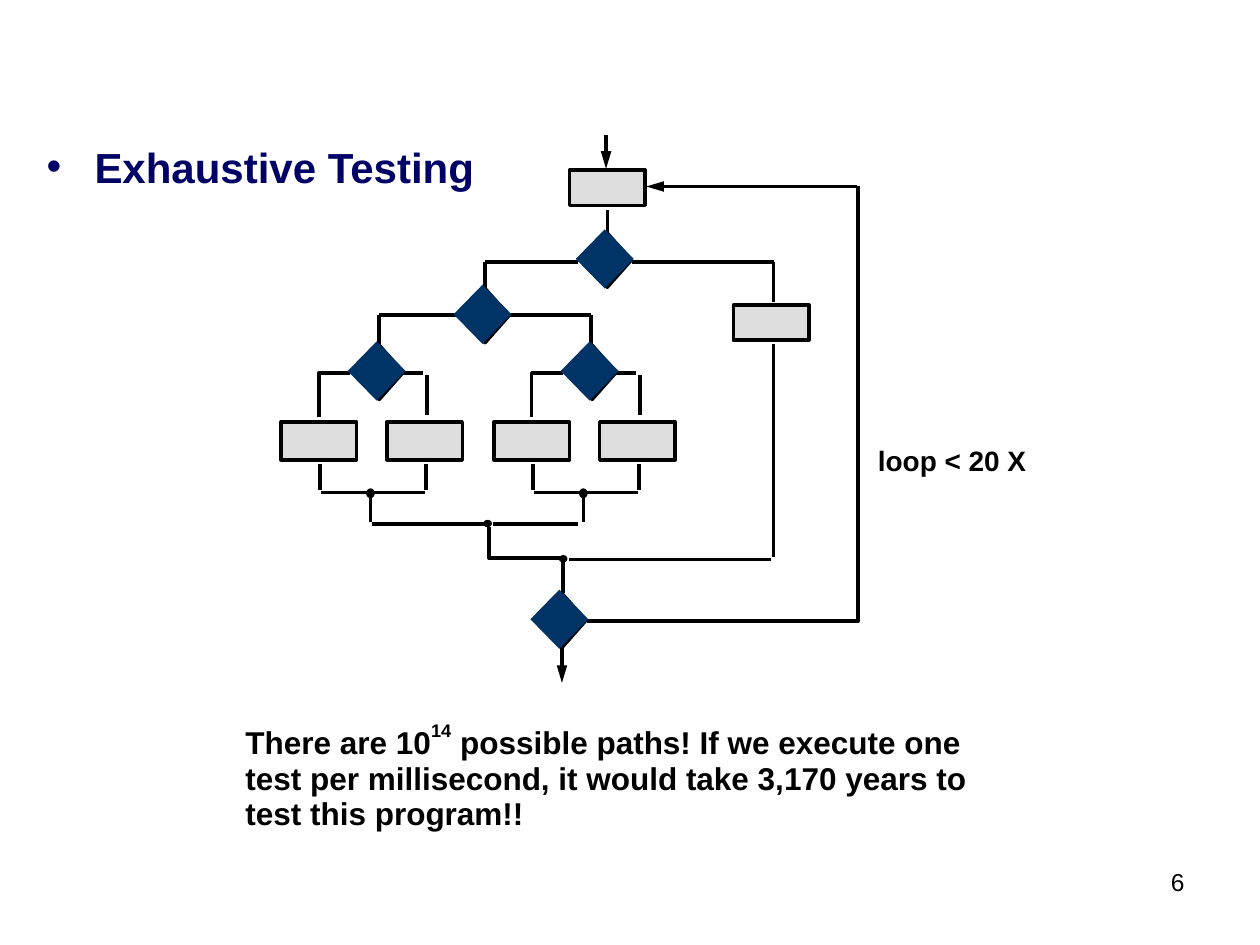
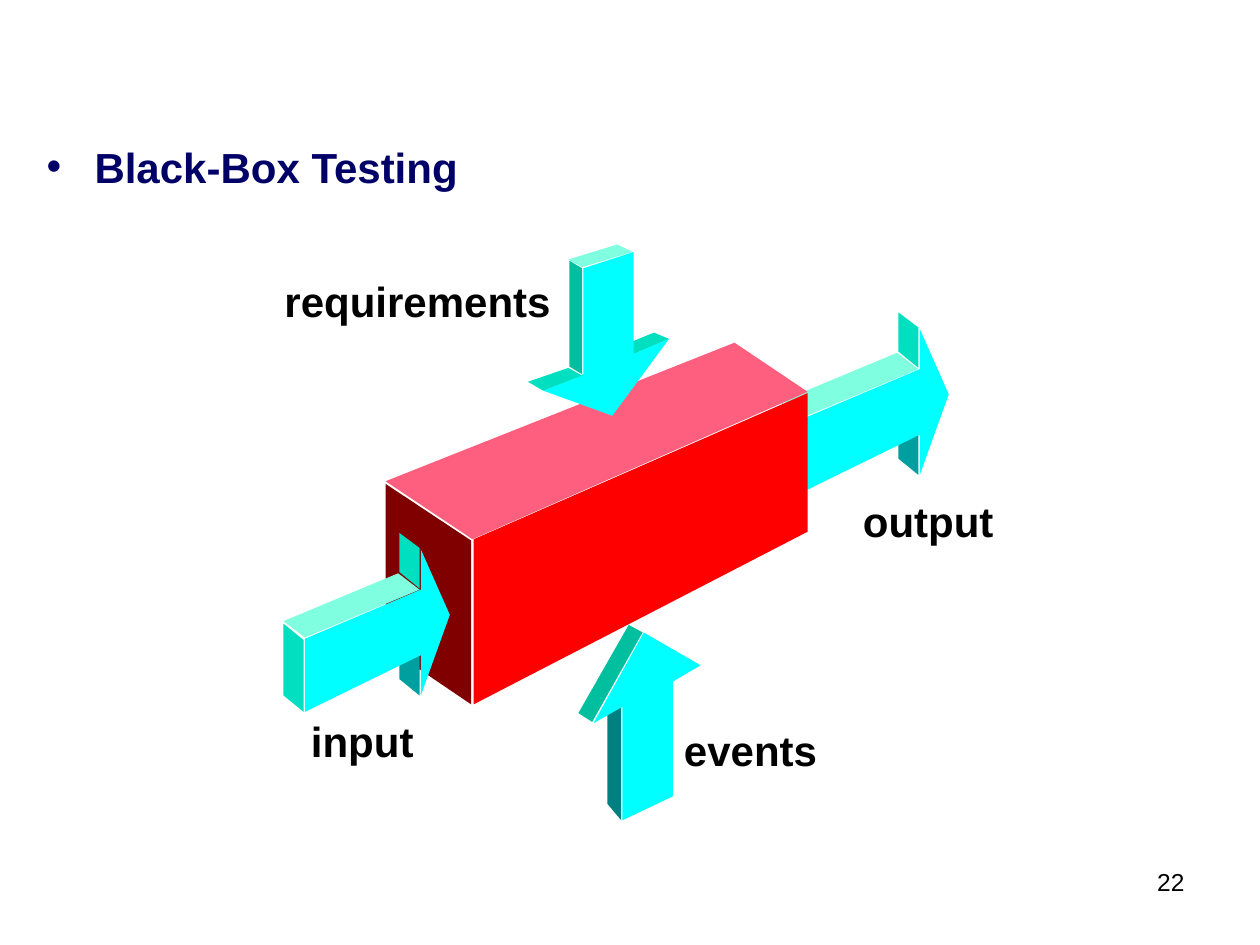
"""Build two slides on software testing: exhaustive paths and the black box."""
from dataclasses import dataclass

from lxml import etree
from pptx import Presentation
from pptx.dml.color import RGBColor
from pptx.enum.shapes import MSO_CONNECTOR, MSO_SHAPE
from pptx.enum.text import MSO_ANCHOR, MSO_AUTO_SIZE, PP_ALIGN
from pptx.oxml.ns import qn
from pptx.util import Inches, Pt

STRAIGHT = MSO_CONNECTOR.STRAIGHT
RECTANGLE, DIAMOND, OVAL = MSO_SHAPE.RECTANGLE, MSO_SHAPE.DIAMOND, MSO_SHAPE.OVAL
LEFT, RIGHT = PP_ALIGN.LEFT, PP_ALIGN.RIGHT
TOP = MSO_ANCHOR.TOP
NO_FIT = MSO_AUTO_SIZE.NONE


@dataclass(frozen=True)
class Theme:
    font: str = "Arial"
    ink: str = "000000"
    heading: str = "000066"
    step: str = "DDDDDD"
    decision: str = "003366"
    front: str = "00FFFF"
    light: str = "7FFFDF"
    side: str = "00DFBF"
    edge: str = "00BF9F"
    shade: str = "009F9F"
    deep: str = "008080"
    box_front: str = "FF0000"
    box_top: str = "FF5F7F"
    box_end: str = "800000"
    heading_size: int = 24
    statement_size: int = 18
    statement_pitch: float = 20.2
    note_size: int = 16
    number_size: int = 14
    stroke: int = 2


def write(paragraph, text, *, font, size, color, bold=False, align=LEFT, raised=0):
    run = paragraph.add_run()
    run.text = text
    run.font.name = font
    run.font.size = Pt(size)
    run.font.bold = bold
    run.font.color.rgb = RGBColor.from_string(color)
    paragraph.alignment = align
    if raised:
        run._r.get_or_add_rPr().set("baseline", str(raised * 1000))


class Deck:
    def __init__(self, theme):
        self.theme = theme
        self.show = Presentation()
        self.show.slide_width, self.show.slide_height = Inches(10), Inches(7.5)
        self.slide = None

    def start(self, heading, number):
        self.slide = self.show.slides.add_slide(self.show.slide_layouts[1])
        unused = self.slide.shapes.title._element
        unused.getparent().remove(unused)
        self.label(str(number), 7.44, 6.83, 2.06, 0.52,
                   size=self.theme.number_size, bold=False, align=RIGHT)
        self.bullet(heading)

    def bullet(self, heading):
        theme = self.theme
        body = self.slide.placeholders[1]
        body.left, body.top = Inches(0.27), Inches(1.07)
        body.width, body.height = Inches(9), Inches(0.95)
        frame = body.text_frame
        frame.auto_size, frame.vertical_anchor = NO_FIT, TOP
        paragraph = frame.paragraphs[0]
        write(paragraph, heading, font=theme.font, size=theme.heading_size,
              color=theme.heading, bold=True)
        paragraph.space_before = Pt(6)
        properties = paragraph._p.get_or_add_pPr()
        properties.set("marL", str(Inches(0.38)))
        properties.set("indent", str(Inches(-0.38)))
        tint = etree.SubElement(properties, qn("a:buClr"))
        etree.SubElement(tint, qn("a:srgbClr"), val=theme.heading)
        etree.SubElement(properties, qn("a:buFont"), typeface=theme.font)
        etree.SubElement(properties, qn("a:buChar"), char="•")

    def label(self, text, left, top, width, height, *, size, bold=True, align=LEFT):
        box = self.slide.shapes.add_textbox(
            Inches(left), Inches(top), Inches(width), Inches(height))
        frame = box.text_frame
        frame.word_wrap, frame.auto_size = True, NO_FIT
        paragraph = frame.paragraphs[0]
        write(paragraph, text, font=self.theme.font, size=size,
              color=self.theme.ink, bold=bold, align=align)
        return paragraph

    def paint(self, shape, fill=None, outlined=True):
        shape.shadow.inherit = False
        if fill:
            shape.fill.solid()
            shape.fill.fore_color.rgb = RGBColor.from_string(fill)
        else:
            shape.fill.background()
        if outlined:
            self.ink(shape.line)
        else:
            shape.line.fill.background()

    def ink(self, line):
        line.width = Pt(self.theme.stroke)
        line.color.rgb = RGBColor.from_string(self.theme.ink)

    def shape(self, preset, left, top, width, height, fill=None, outlined=True):
        self.paint(self.slide.shapes.add_shape(
            preset, Inches(left), Inches(top), Inches(width), Inches(height)),
            fill, outlined)

    def line(self, x1, y1, x2, y2, arrow=False):
        connector = self.slide.shapes.add_connector(
            STRAIGHT, Inches(x1), Inches(y1), Inches(x2), Inches(y2))
        self.ink(connector.line)
        if arrow:
            etree.SubElement(connector.line._get_or_add_ln(), qn("a:tailEnd"),
                             type="triangle", w="med", len="lg")
        etree.SubElement(connector._element.spPr, qn("a:effectLst"))

    def outline(self, points, fill=None, shift=(0, 0)):
        dx, dy = shift
        start, *rest = [(Inches(x + dx), Inches(y + dy)) for x, y in points]
        builder = self.slide.shapes.build_freeform(*start)
        builder.add_line_segments(rest, close=fill is not None)
        self.paint(builder.convert_to_shape(), fill, outlined=fill is None)

    def branch(self, start, corner, top, bottom):
        self.line(start, top, corner, top)
        self.line(corner, top, corner, bottom)

    def step(self, left, top, height):
        self.shape(RECTANGLE, left, top, 0.6, height, self.theme.step)

    def decision(self, left, top):
        self.shape(DIAMOND, left + 0.06, top + 0.03, 0.38, 0.43)
        self.shape(DIAMOND, left, top, 0.46, 0.47, self.theme.decision, outlined=False)

    def junction(self, left, top, height):
        self.shape(OVAL, left, top, 0.04, height, self.theme.ink)


def exhaustive_testing(deck):
    theme = deck.theme
    deck.start("Exhaustive Testing", 6)

    deck.line(4.81, 1.07, 4.81, 1.34, arrow=True)
    deck.line(4.82, 1.67, 4.82, 1.85)
    deck.branch(4.59, 3.85, 2.08, 2.29)
    deck.branch(5.02, 6.14, 2.08, 2.4)
    deck.branch(3.66, 3.01, 2.5, 2.73)
    deck.branch(4.05, 4.69, 2.5, 2.73)
    deck.step(4.52, 1.35, 0.28)
    deck.step(5.82, 2.42, 0.28)

    for shift in (0, 1.69):
        deck.outline([(2.78, 2.96), (2.53, 2.96), (2.53, 3.31)], shift=(shift, 0))
        deck.line(3.19 + shift, 2.96, 3.36 + shift, 2.96)
        deck.line(3.39 + shift, 2.98, 3.39 + shift, 3.29)
        for leaf in (2.23 + shift, 3.07 + shift):
            deck.step(leaf, 3.35, 0.3)
            deck.line(leaf + 0.31, 3.68, leaf + 0.31, 3.89)
        deck.line(2.55 + shift, 3.91, 3.37 + shift, 3.91)
        deck.junction(2.92 + shift, 3.89, 0.05)
        deck.line(2.94 + shift, 3.92, 2.94 + shift, 4.14)

    deck.line(2.95, 4.16, 3.87, 4.16)
    deck.line(4.59, 4.16, 3.91, 4.16)
    deck.junction(3.85, 4.14, 0.03)
    deck.outline([(3.88, 4.18), (3.88, 4.43), (4.46, 4.43)])
    deck.junction(4.45, 4.42, 0.03)
    deck.line(6.14, 2.73, 6.14, 4.42)
    deck.line(4.52, 4.44, 6.12, 4.44)
    deck.line(4.47, 4.43, 4.47, 4.71)
    deck.outline([(4.66, 4.93), (6.81, 4.93), (6.81, 1.48)])
    deck.line(6.8, 1.48, 5.13, 1.48, arrow=True)
    deck.line(4.46, 5.14, 4.46, 5.42, arrow=True)

    for corner in ((4.57, 1.82), (3.6, 2.26), (2.76, 2.71), (4.45, 2.71), (4.21, 4.68)):
        deck.decision(*corner)

    deck.label("loop < 20 X", 6.87, 3.47, 1.5, 0.36, size=theme.note_size)
    style = dict(font=theme.font, size=theme.statement_size, color=theme.ink, bold=True)
    statement = deck.label("There are 10", 1.85, 5.71, 6.1, 0.96,
                           size=theme.statement_size)
    statement.line_spacing = Pt(theme.statement_pitch)
    write(statement, "14", raised=55, **style)
    write(statement, " possible paths! If we execute one test per millisecond, "
          "it would take 3,170 years to test this program!!", **style)


def black_box_testing(deck):
    theme = deck.theme
    deck.start("Black-Box Testing", 22)

    flow = [
        (theme.shade, [(7.29, 3.77), (7.29, 3.45), (7.13, 3.33), (7.13, 3.64)]),
        (theme.front, [(7.3, 2.93), (6.38, 3.32), (6.38, 3.9), (7.3, 3.45),
                       (7.3, 3.77), (7.53, 3.13), (7.3, 2.61)]),
        (theme.side, [(6.37, 3.33), (6.37, 3.9), (6.21, 3.77), (6.21, 3.2)]),
        (theme.light, [(6.21, 3.18), (6.38, 3.31), (7.29, 2.93), (7.12, 2.8)]),
        (theme.side, [(7.29, 2.6), (7.13, 2.48), (7.13, 2.79), (7.29, 2.92)]),
    ]
    events = [
        (theme.deep, [(4.93, 6.51), (4.93, 5.61), (4.82, 5.55), (4.82, 6.38)]),
        (theme.front, [(5.11, 5.02), (5.56, 5.28), (5.34, 5.41), (5.34, 6.32),
                       (4.94, 6.51), (4.94, 5.61), (4.71, 5.74)]),
        (theme.edge, [(4.7, 5.73), (4.59, 5.66), (4.99, 4.96), (5.1, 5.02)]),
    ]
    box = [
        (theme.box_end, [(3.06, 3.84), (3.74, 4.29), (3.74, 5.59), (3.06, 5.13)]),
        (theme.box_top, [(3.06, 3.82), (3.75, 4.28), (6.41, 3.11), (5.83, 2.72)]),
        (theme.box_front, [(3.76, 4.28), (3.76, 5.59), (6.41, 4.22), (6.41, 3.12)]),
    ]
    requirements = [
        (theme.light, [(4.51, 2.06), (4.62, 2.12), (5.02, 2), (4.9, 1.94)]),
        (theme.side, [(5.03, 2.81), (5.31, 2.69), (5.19, 2.64), (4.92, 2.75)]),
        (theme.front, [(4.63, 2.13), (5.03, 2), (5.03, 2.81), (5.31, 2.69),
                       (4.86, 3.3), (4.31, 3.1), (4.63, 2.97)]),
        (theme.side, [(4.31, 3.1), (4.19, 3.03), (4.51, 2.92), (4.62, 2.98)]),
        (theme.edge, [(4.52, 2.91), (4.62, 2.97), (4.62, 2.13), (4.52, 2.07)]),
    ]
    at_rest, to_input = (0, 0), (-3.96, 1.75)
    for solid, shift in ((flow, at_rest), (events, at_rest), (box, at_rest),
                         (requirements, at_rest), (flow, to_input)):
        for color, corners in solid:
            deck.outline(corners, color, shift)

    for caption, left, top, width in (("requirements", 2.16, 2.14, 2.4),
                                      ("events", 5.33, 5.7, 1.35),
                                      ("input", 2.37, 5.63, 1.1),
                                      ("output", 6.75, 3.88, 1.35)):
        deck.label(caption, left, top, width, 0.5, size=theme.heading_size)


def main():
    deck = Deck(Theme())
    exhaustive_testing(deck)
    black_box_testing(deck)
    deck.show.save("out.pptx")


if __name__ == "__main__":
    main()
